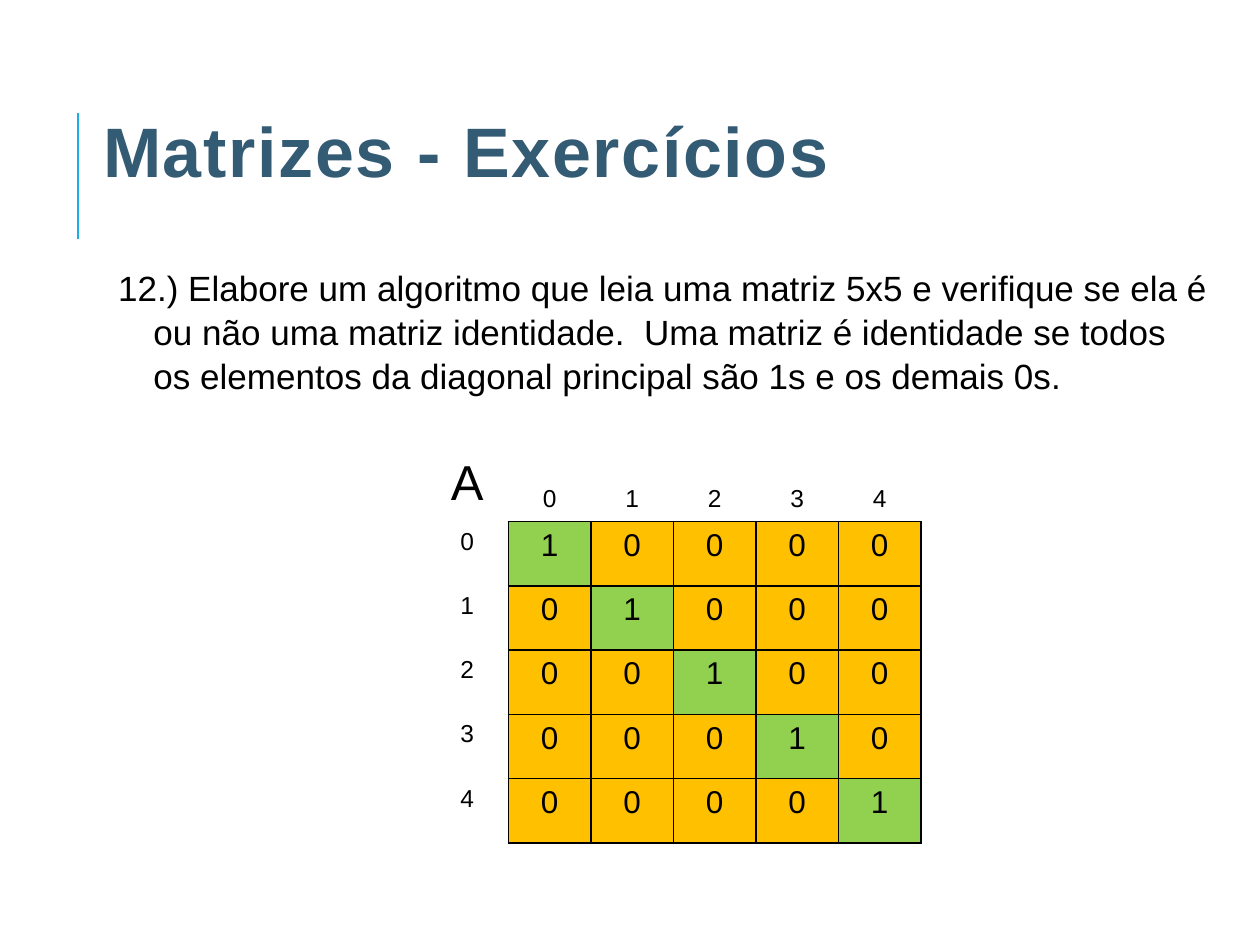
from lxml.etree import SubElement
from pptx import Presentation
from pptx.dml.color import RGBColor
from pptx.enum.shapes import MSO_CONNECTOR
from pptx.enum.text import MSO_ANCHOR, PP_ALIGN
from pptx.oxml.ns import qn
from pptx.util import Inches, Pt

COLORS = {"accent": "1CADE4", "title": "335B74", "text": "000000",
          "border": "000000", "diagonal": "92D050", "other": "FFC000"}
N = 5
COL_W, HEAD_H, ROW_H = 0.655, 0.57, 0.51


def write(tf, text, color="text", **formats):
    p = tf.paragraphs[0]
    r = p.add_run()
    r.text = text
    r.font.color.rgb = RGBColor.from_string(COLORS[color])
    for name, value in {"name": "Arial", **formats}.items():
        setattr(r.font, name, value)
    return p


def set_borders(cell, sides):
    """Draw the given sides (of L, R, T, B) and hide the others."""
    tcPr = cell._tc.get_or_add_tcPr()
    for side in "LRTB":
        ln = SubElement(tcPr, qn(f"a:ln{side}"), w=str(Pt(1)))
        if side in sides:
            fill = SubElement(ln, qn("a:solidFill"))
            SubElement(fill, qn("a:srgbClr"), val=COLORS["border"])
        else:
            SubElement(ln, qn("a:noFill"))


prs = Presentation()
prs.slide_width, prs.slide_height = Inches(10), Inches(7.5)
s = prs.slides.add_slide(prs.slide_layouts[6])

# Title with its accent rule
rule = s.shapes.add_connector(MSO_CONNECTOR.STRAIGHT, Inches(0.62), Inches(1.9),
                              Inches(0.62), Inches(0.9))
rule.line.color.rgb = RGBColor.from_string(COLORS["accent"])
rule.line.width = Pt(1.5)
SubElement(rule._element.spPr, qn("a:effectLst"))

tf = s.shapes.add_textbox(Inches(0.72), Inches(0.56), Inches(9), Inches(1.25)).text_frame
tf.word_wrap = True
tf.vertical_anchor = MSO_ANCHOR.MIDDLE
p = write(tf, "Matrizes - Exercícios", "title", size=Pt(40), bold=True)
p.runs[0].font._element.set("spc", "100")

# Exercise statement with a hanging indent
tf = s.shapes.add_textbox(Inches(0.72), Inches(2.05), Inches(9), Inches(2.36)).text_frame
tf.word_wrap = True
p = write(tf, "12.) Elabore um algoritmo que leia uma matriz 5x5 e verifique se ela é "
              "ou não uma matriz identidade.  Uma matriz é identidade se todos os "
              "elementos da diagonal principal são 1s e os demais 0s.", size=Pt(20))
p.line_spacing = 1.05
pPr = p._p.get_or_add_pPr()
pPr.set("marL", str(Inches(0.4)))
pPr.set("indent", str(Inches(-0.28)))

# Identity matrix with row and column indices
table = s.shapes.add_table(N + 1, N + 1, Inches(3.38), Inches(3.57),
                           Inches(COL_W * (N + 1)), Inches(HEAD_H + ROW_H * N)).table
table.first_row = table.horz_banding = False
for i in range(N + 1):
    table.columns[i].width = Inches(COL_W)
    table.rows[i].height = Inches(ROW_H if i else HEAD_H)
    for j in range(N + 1):
        cell = table.cell(i, j)
        if i and j:
            text, size, sides = str(int(i == j)), 18, "LRTB"
        elif i:
            text, size, sides = str(i - 1), 14, "R"
        elif j:
            text, size, sides = str(j - 1), 14, "B"
            cell.vertical_anchor = MSO_ANCHOR.BOTTOM
            cell.margin_bottom = Inches(0.07)
        else:
            text, size, sides = "A", 28, ""
        write(cell.text_frame, text, size=Pt(size)).alignment = PP_ALIGN.CENTER
        set_borders(cell, sides)
        if i and j:
            cell.fill.solid()
            fill_color = COLORS["diagonal" if i == j else "other"]
            cell.fill.fore_color.rgb = RGBColor.from_string(fill_color)
        else:
            cell.fill.background()

prs.save("out.pptx")
